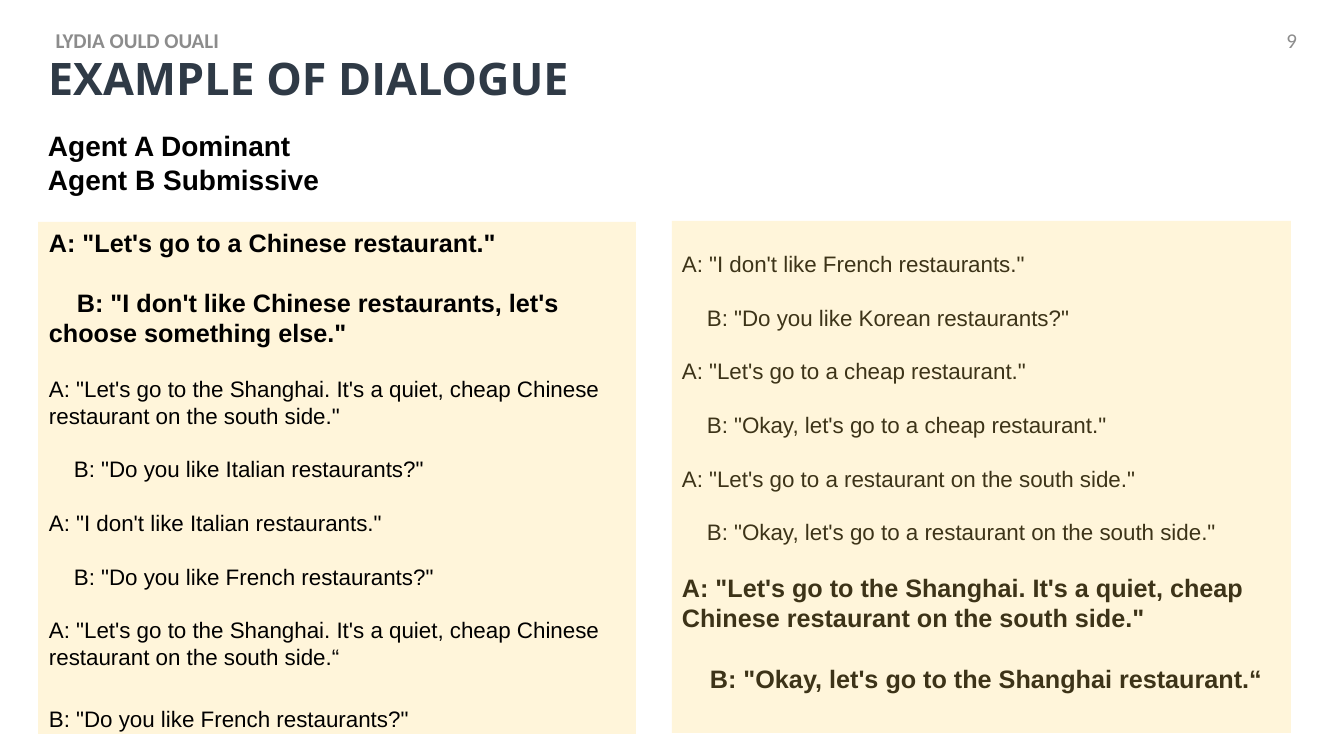
"""Build the slide that shows an example of dialogue between two agents."""
from dataclasses import dataclass

from lxml import etree
from pptx import Presentation
from pptx.dml.color import RGBColor
from pptx.enum.shapes import MSO_SHAPE
from pptx.enum.text import MSO_ANCHOR, MSO_AUTO_SIZE, PP_ALIGN
from pptx.oxml.ns import qn
from pptx.util import Pt

RECTANGLE = MSO_SHAPE.RECTANGLE
TOP, MIDDLE = MSO_ANCHOR.TOP, MSO_ANCHOR.MIDDLE
LEFT, RIGHT = PP_ALIGN.LEFT, PP_ALIGN.RIGHT
NO_AUTOFIT = MSO_AUTO_SIZE.NONE
EMU_PER_PX = 914400 / 100.8
TITLE_ONLY = 5


@dataclass(frozen=True)
class Theme:
    """Colours, fonts and type sizes of the slide."""
    ink: str = "000000"
    heading: str = "2F3A46"
    muted: str = "8C8C8C"
    panel: str = "FFD966"
    panel_alpha: int = 24
    body_font: str = "Arial"
    heading_font: str = "Open Sans"
    header_font: str = "Calibri"
    title_size: int = 32
    agents_size: int = 20
    key_size: int = 18
    speech_size: int = 16
    header_size: int = 15
    blank_line: float = 1.2


@dataclass(frozen=True)
class Speech:
    """One turn of the dialogue."""
    words: str
    key: bool = False
    reply: bool = False
    extra_gap: int = 0


THEME = Theme()

OPENING = [
    Speech('A: "Let\'s go to a Chinese restaurant."', key=True),
    Speech('B: "I don\'t like Chinese restaurants, let\'s choose something else."',
           key=True, reply=True),
    Speech('A: "Let\'s go to the Shanghai. It\'s a quiet, cheap Chinese '
           'restaurant on the south side."'),
    Speech('B: "Do you like Italian restaurants?"', reply=True),
    Speech('A: "I don\'t like Italian restaurants."'),
    Speech('B: "Do you like French restaurants?"', reply=True),
    Speech('A: "Let\'s go to the Shanghai. It\'s a quiet, cheap Chinese '
           'restaurant on the south side.“'),
    Speech('B: "Do you like French restaurants?"', extra_gap=6),
]

AGREEMENT = [
    Speech('A: "I don\'t like French restaurants."'),
    Speech('B: "Do you like Korean restaurants?"', reply=True),
    Speech('A: "Let\'s go to a cheap restaurant."'),
    Speech('B: "Okay, let\'s go to a cheap restaurant."', reply=True),
    Speech('A: "Let\'s go to a restaurant on the south side."'),
    Speech('B: "Okay, let\'s go to a restaurant on the south side."', reply=True),
    Speech('A: "Let\'s go to the Shanghai. It\'s a quiet, cheap Chinese '
           'restaurant on the south side."', key=True),
    Speech('B: "Okay, let\'s go to the Shanghai restaurant.“',
           key=True, reply=True),
]


def px(length):
    """Turn pixels into EMU."""
    return round(length * EMU_PER_PX)


def style(paragraph, font_name, size, color, bold=False, align=LEFT):
    """Set the font and alignment of a paragraph."""
    paragraph.alignment = align
    font = paragraph.font
    font.name, font.size, font.bold = font_name, Pt(size), bold
    font.color.rgb = RGBColor.from_string(color)


def add_text_frame(slide, box, anchor=TOP):
    """Add a wrapping text box and return its frame."""
    frame = slide.shapes.add_textbox(*map(px, box)).text_frame
    frame.word_wrap = True
    frame.vertical_anchor = anchor
    return frame


def add_label(slide, box, lines, *font, **options):
    """Add a vertically centred text box with one paragraph per line."""
    frame = add_text_frame(slide, box, MIDDLE)
    frame.text = "\n".join(lines)
    for paragraph in frame.paragraphs:
        style(paragraph, *font, **options)


def add_panel(slide, box):
    """Add a translucent panel."""
    panel = slide.shapes.add_shape(RECTANGLE, *map(px, box))
    panel.shadow.inherit = False
    panel.line.fill.background()
    panel.fill.solid()
    panel.fill.fore_color.rgb = RGBColor.from_string(THEME.panel)
    color = panel.fill._xPr.find(".//" + qn("a:srgbClr"))
    etree.SubElement(color, qn("a:alpha"), val=str(THEME.panel_alpha * 1000))


def add_dialogue(slide, box, speeches):
    """Add the turns of a dialogue, one blank line apart, replies indented."""
    frame = add_text_frame(slide, box)
    frame.text = "\n".join(speech.words for speech in speeches)
    previous_size = None
    for paragraph, speech in zip(frame.paragraphs, speeches):
        size = THEME.key_size if speech.key else THEME.speech_size
        if speech.reply:
            indent = px(28 if speech.key else 25)
            paragraph._p.get_or_add_pPr().set("indent", str(indent))
        if previous_size:
            gap = min(size, previous_size) * THEME.blank_line
            paragraph.space_before = Pt(gap + speech.extra_gap)
        style(paragraph, THEME.body_font, size, THEME.ink, speech.key)
        previous_size = size


def set_title(slide, box, words):
    """Place and format the title placeholder."""
    title = slide.shapes.title
    title.left, title.top, title.width, title.height = map(px, box)
    frame = title.text_frame
    frame.text = words
    frame.word_wrap = True
    frame.auto_size = NO_AUTOFIT
    frame.vertical_anchor = MIDDLE
    heading = frame.paragraphs[0]
    heading.line_spacing = 0.9
    style(heading, THEME.heading_font, THEME.title_size, THEME.heading, True)


def main():
    """Build and save the slide."""
    deck = Presentation()
    deck.slide_width, deck.slide_height = px(1344), px(756)
    slide = deck.slides.add_slide(deck.slide_layouts[TITLE_ONLY])

    set_title(slide, (38, 22, 1159, 117), "EXAMPLE OF DIALOGUE")
    add_panel(slide, (38, 222, 598, 512))
    add_dialogue(slide, (39, 222, 598, 515), OPENING)
    add_dialogue(slide, (672, 245, 633, 512), AGREEMENT)
    add_label(slide, (38, 135, 386, 55), ["Agent A Dominant", "Agent B Submissive"],
              THEME.body_font, THEME.agents_size, THEME.ink, bold=True)
    add_panel(slide, (672, 221, 619, 512))

    header = THEME.header_font, THEME.header_size, THEME.muted
    add_label(slide, (-73, 20, 302, 40), ["LYDIA OULD OUALI"], *header,
              bold=True, align=RIGHT)
    add_label(slide, (1005, 20, 302, 40), ["9"], *header, align=RIGHT)
    deck.save("out.pptx")


if __name__ == "__main__":
    main()
